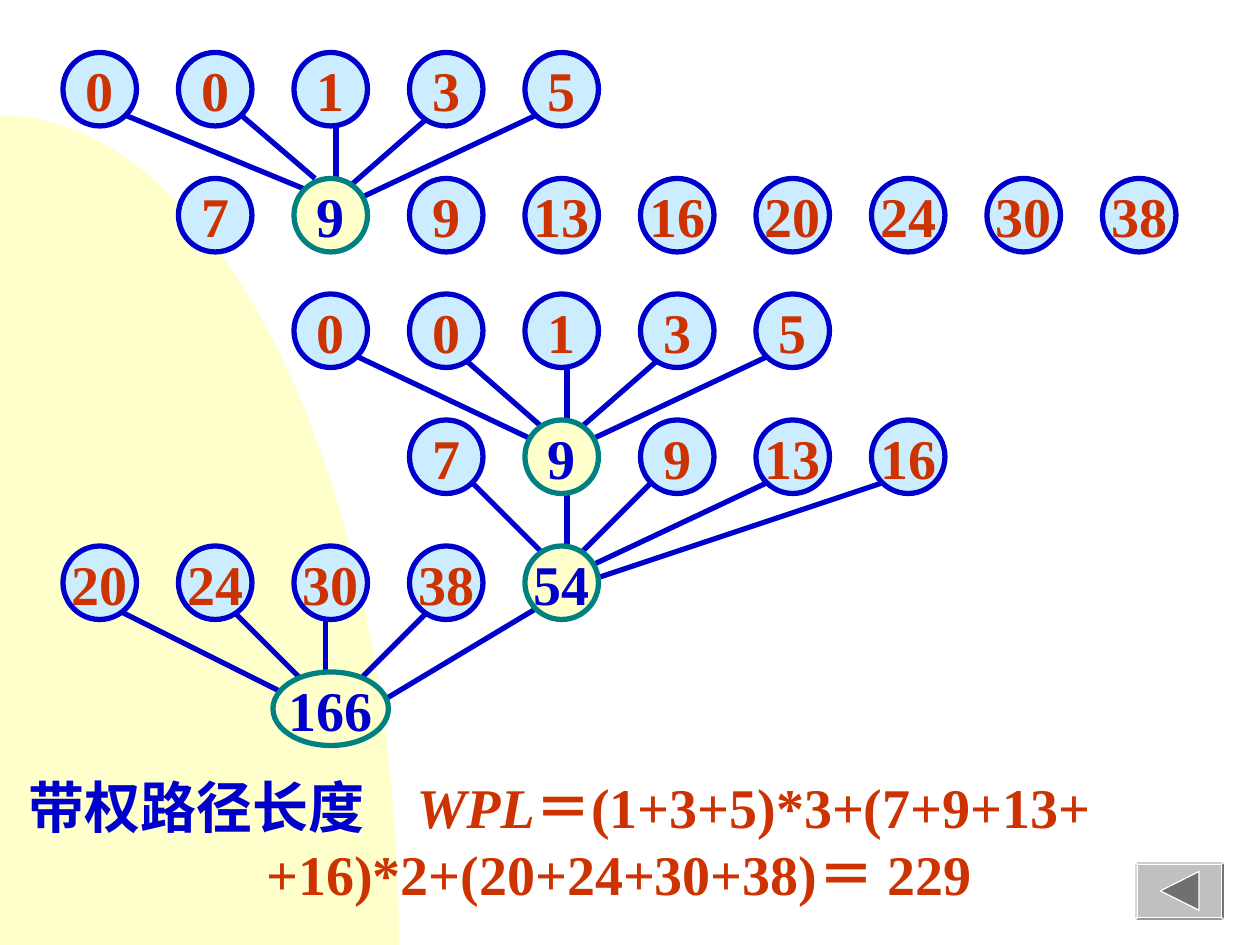
from dataclasses import dataclass
from math import cos, pi, sin

from pptx import Presentation
from pptx.dml.color import RGBColor
from pptx.enum.shapes import MSO_CONNECTOR, MSO_SHAPE
from pptx.enum.text import MSO_ANCHOR, PP_ALIGN
from pptx.oxml.ns import qn
from pptx.util import Inches, Pt
from lxml import etree


@dataclass(frozen=True)
class Theme:
    blue: RGBColor = RGBColor.from_string("0000CC")
    red: RGBColor = RGBColor.from_string("CC3300")
    teal: RGBColor = RGBColor.from_string("008080")
    sky: RGBColor = RGBColor.from_string("CCECFF")
    cream: RGBColor = RGBColor.from_string("FFFFCC")
    silver: RGBColor = RGBColor.from_string("C0C0C0")
    grey: RGBColor = RGBColor.from_string("707070")
    white: RGBColor = RGBColor.from_string("FFFFFF")
    font: str = "Times New Roman"
    size: Pt = Pt(32)
    stroke: Pt = Pt(3)
    hairline: Pt = Pt(0.75)


theme = Theme()
deck = Presentation()
deck.slide_width, deck.slide_height = Inches(10), Inches(7.5)
slide = deck.slides.add_slide(deck.slide_layouts[6])
unit = deck.slide_width // 120
column_step, node_size = 11, 7


def add_run(paragraph, text, color, italic=False):
    run = paragraph.add_run()
    run.text = text
    run.font.name, run.font.size = theme.font, theme.size
    run.font.bold, run.font.italic = True, italic
    run.font.color.rgb = color


def add_polygon(points, fill):
    corners = [(round(x * unit), round(y * unit)) for x, y in points]
    builder = slide.shapes.build_freeform(*corners[0])
    builder.add_line_segments(corners[1:], close=True)
    polygon = builder.convert_to_shape()
    polygon.shadow.inherit = False
    polygon.fill.solid()
    polygon.fill.fore_color.rgb = fill
    return polygon


arc_steps = 60
arc_angles = [pi / 2 * step / arc_steps for step in range(arc_steps + 1)]
backdrop = add_polygon([(0, 90)] + [(38 * sin(a), 90 - 79 * cos(a)) for a in arc_angles], theme.cream)
backdrop.line.fill.background()

branches = [
    (12, 11, 29, 18), (23, 11, 30, 17), (32, 12, 32, 17), (41, 11, 33, 18), (51, 11, 34, 19),
    (32, 33, 51, 42), (44, 34, 52, 41), (54, 35, 54, 40), (63, 34, 55, 41), (73, 34, 56, 42),
    (45, 46, 52, 53), (54, 47, 54, 52), (62, 46, 55, 53), (73, 46, 56, 54), (84, 46, 57, 55),
    (11, 58, 27, 66), (22, 58, 29, 65), (31, 59, 31, 64), (41, 58, 34, 65), (51, 58, 36, 67),
]
for ends in branches:
    branch = slide.shapes.add_connector(MSO_CONNECTOR.STRAIGHT, *(end * unit for end in ends))
    branch.line.color.rgb, branch.line.width = theme.blue, theme.stroke
    etree.SubElement(branch._element.spPr, qn("a:effectLst"))

tree_rows = [
    (5, 0, [0, 0, 1, 3, 5], None),
    (17, 1, [7, 9, 9, 13, 16, 20, 24, 30, 38], 2),
    (28, 2, [0, 0, 1, 3, 5], None),
    (40, 3, [7, 9, 9, 13, 16], 4),
    (52, 0, [20, 24, 30, 38, 54], 4),
    (64, 2, [166], 2),
]
for top, first_column, weights, merged_column in tree_rows:
    for column, weight in enumerate(weights, first_column):
        merged = column == merged_column
        width = 11 if weight > 99 else node_size
        left = 6 + column * column_step - (width - node_size) / 2
        node = slide.shapes.add_shape(
            MSO_SHAPE.OVAL, round(left * unit), top * unit, width * unit, node_size * unit)
        node.shadow.inherit = False
        node.fill.solid()
        node.fill.fore_color.rgb = theme.cream if merged else theme.sky
        node.line.color.rgb = theme.teal if merged else theme.blue
        node.line.width = theme.stroke
        node.text_frame.word_wrap = False
        node.text_frame.vertical_anchor = MSO_ANCHOR.MIDDLE
        label = node.text_frame.paragraphs[0]
        label.alignment = PP_ALIGN.CENTER
        add_run(label, str(weight), theme.blue if merged else theme.red)

formula = slide.shapes.add_textbox(round(1.5 * unit), 73 * unit, round(114.5 * unit), 14 * unit).text_frame
formula.word_wrap = True
opening = formula.paragraphs[0]
tab_stops = etree.SubElement(opening._p.get_or_add_pPr(), qn("a:tabLst"))
etree.SubElement(tab_stops, qn("a:tab"), pos=str(37 * unit), algn="l")
add_run(opening, "带权路径长度\t", theme.blue)
add_run(opening, "WPL", theme.red, italic=True)
add_run(opening, "＝(1+3+5)*3+(7+9+13+", theme.red)
continuation = formula.add_paragraph()
indent = continuation._p.get_or_add_pPr()
indent.set("marL", str(round(22.67 * unit)))
indent.set("indent", "0")
add_run(continuation, "+16)*2+(20+24+30+38)＝ 229", theme.red)

back_button = slide.shapes.add_shape(
    MSO_SHAPE.BEVEL, 108 * unit, 82 * unit, round(8.66 * unit), round(5.7 * unit))
back_button.adjustments[0] = 0.06
back_button.shadow.inherit = False
back_button.fill.solid()
back_button.fill.fore_color.rgb = theme.silver
back_arrow = add_polygon([(110.5, 84.85), (114.2, 83), (114.2, 86.7)], theme.grey)
for part in (back_button, back_arrow):
    part.line.color.rgb, part.line.width = theme.white, theme.hairline

deck.save("out.pptx")
